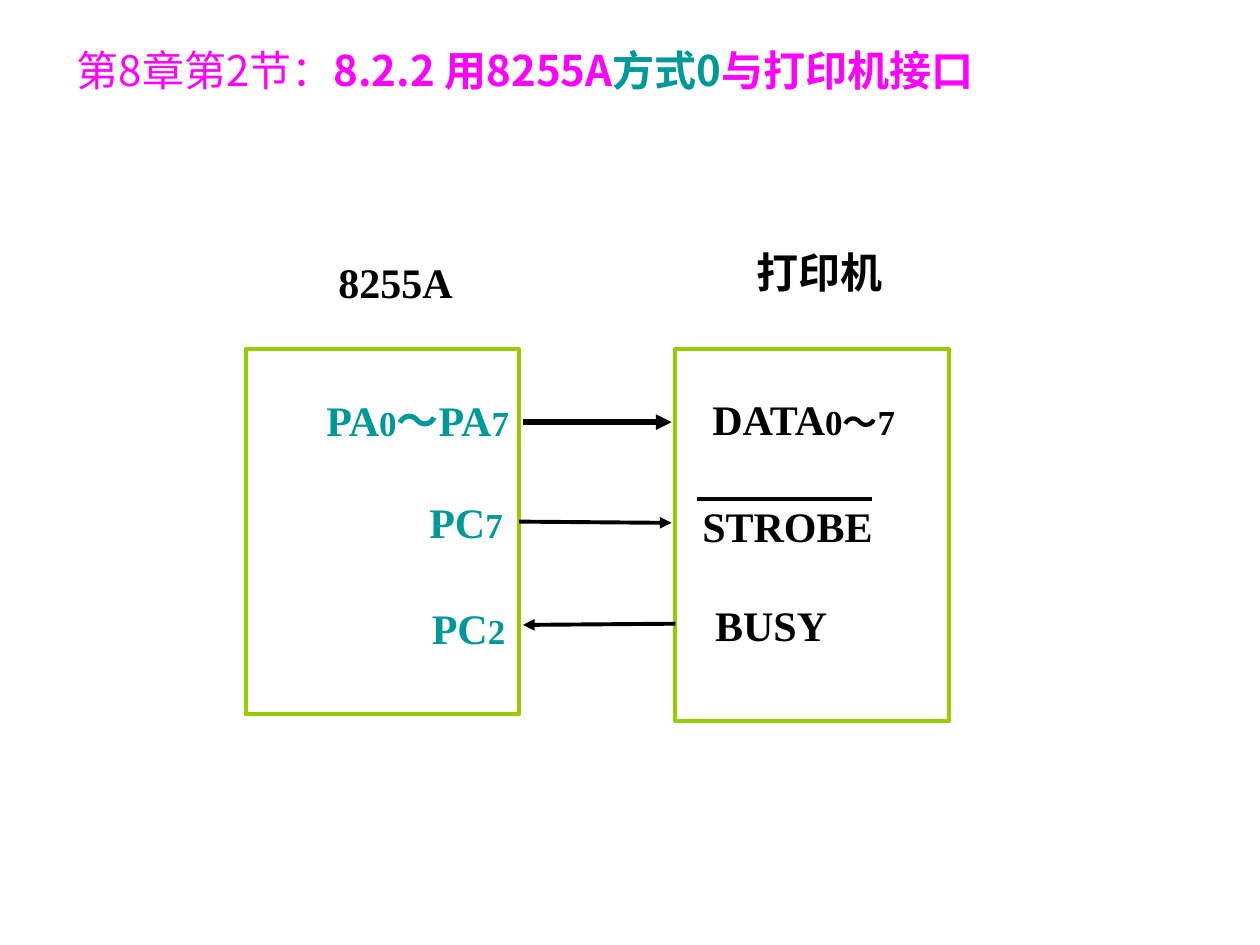
from lxml.etree import SubElement
from pptx import Presentation
from pptx.dml.color import RGBColor
from pptx.enum.shapes import MSO_CONNECTOR, MSO_SHAPE
from pptx.enum.text import MSO_ANCHOR, PP_ALIGN
from pptx.oxml.ns import qn
from pptx.util import Inches, Pt

MAGENTA = RGBColor(0xFF, 0x00, 0xFF)
TEAL = RGBColor(0x00, 0x99, 0x99)
GREEN = RGBColor(0x99, 0xCC, 0x00)
BLACK = RGBColor(0x00, 0x00, 0x00)
LIGHT_FONT = "Noto Sans CJK JP"
BOLD_FONT = "Noto Sans CJK SC"
LABEL_FONT = "Times New Roman"


def add_run(paragraph, text, size, color, latin, east_asian, bold=True):
    run = paragraph.add_run()
    run.text = text
    run.font.size = Pt(size)
    run.font.bold = bold
    run.font.color.rgb = color
    run.font.name = latin
    SubElement(run._r.get_or_add_rPr(), qn("a:ea"), typeface=east_asian)


presentation = Presentation()
presentation.slide_width = Inches(10)
presentation.slide_height = Inches(7.5)
slide = presentation.slides.add_slide(presentation.slide_layouts[5])

title = slide.shapes.title
title.left, title.top = Inches(0.51), Inches(0.28)
title.width, title.height = Inches(9), Inches(0.55)
title.text_frame.vertical_anchor = MSO_ANCHOR.MIDDLE
paragraph = title.text_frame.paragraphs[0]
paragraph.alignment = PP_ALIGN.JUSTIFY
for text, color, font, bold in [
    ("第8章第2节：", MAGENTA, LIGHT_FONT, False),
    ("8.2.2 用8255A", MAGENTA, BOLD_FONT, True),
    ("方式0", TEAL, BOLD_FONT, True),
    ("与打印机接口", MAGENTA, BOLD_FONT, True),
]:
    add_run(paragraph, text, 24, color, font, font, bold)

# Outlines of the two devices
for left, height in [(1.95, 2.9), (5.36, 2.95)]:
    device = slide.shapes.add_shape(
        MSO_SHAPE.RECTANGLE, Inches(left), Inches(2.77), Inches(2.17), Inches(height))
    device.shadow.inherit = False
    device.fill.background()
    device.line.color.rgb = GREEN
    device.line.width = Pt(2.25)

# Device names and pin labels: box, alignment, colour, (text, size) runs
labels = [
    (2.22, 2.03, 1.84, 0.86, PP_ALIGN.CENTER, BLACK, [("8255A", 24)]),
    (5.48, 1.95, 2.05, 0.86, PP_ALIGN.CENTER, BLACK, [("打印机", 24)]),
    (2.09, 3.12, 1.96, 0.74, PP_ALIGN.RIGHT, TEAL,
     [("PA", 24), ("0", 20), ("～PA", 24), ("7", 20)]),
    (2.49, 3.93, 1.51, 0.74, PP_ALIGN.RIGHT, TEAL, [("PC", 24), ("7", 20)]),
    (2.51, 4.77, 1.51, 0.74, PP_ALIGN.RIGHT, TEAL, [("PC", 24), ("2", 20)]),
    (5.23, 3.11, 2.3, 0.74, PP_ALIGN.CENTER, BLACK, [("DATA", 24), ("0～7", 20)]),
    (5.33, 3.96, 1.84, 0.52, PP_ALIGN.CENTER, BLACK, [("STROBE", 24)]),
    (5.2, 4.75, 1.84, 0.52, PP_ALIGN.CENTER, BLACK, [("BUSY", 24)]),
]
for left, top, width, height, alignment, color, runs in labels:
    label = slide.shapes.add_textbox(
        Inches(left), Inches(top), Inches(width), Inches(height))
    frame = label.text_frame
    frame.word_wrap = True
    frame.margin_left = frame.margin_right = Inches(0.01)
    frame.margin_top = frame.margin_bottom = Inches(0.01)
    paragraph = frame.paragraphs[0]
    paragraph.alignment = alignment
    for text, size in runs:
        add_run(paragraph, text, size, color, LABEL_FONT, BOLD_FONT)

# Signal arrows, then the overbar of STROBE
for x1, y1, x2, y2, weight, has_arrow in [
    (4.15, 3.35, 5.33, 3.35, 3, True),
    (4.12, 4.14, 5.33, 4.15, 2.25, True),
    (5.36, 4.95, 4.15, 4.96, 2.25, True),
    (5.53, 3.96, 6.92, 3.96, 2.25, False),
]:
    connector = slide.shapes.add_connector(
        MSO_CONNECTOR.STRAIGHT, Inches(x1), Inches(y1), Inches(x2), Inches(y2))
    connector.line.color.rgb = BLACK
    connector.line.width = Pt(weight)
    if has_arrow:
        SubElement(connector.line._get_or_add_ln(), qn("a:tailEnd"), type="triangle")
    SubElement(connector._element.spPr, qn("a:effectLst"))

presentation.save("out.pptx")
